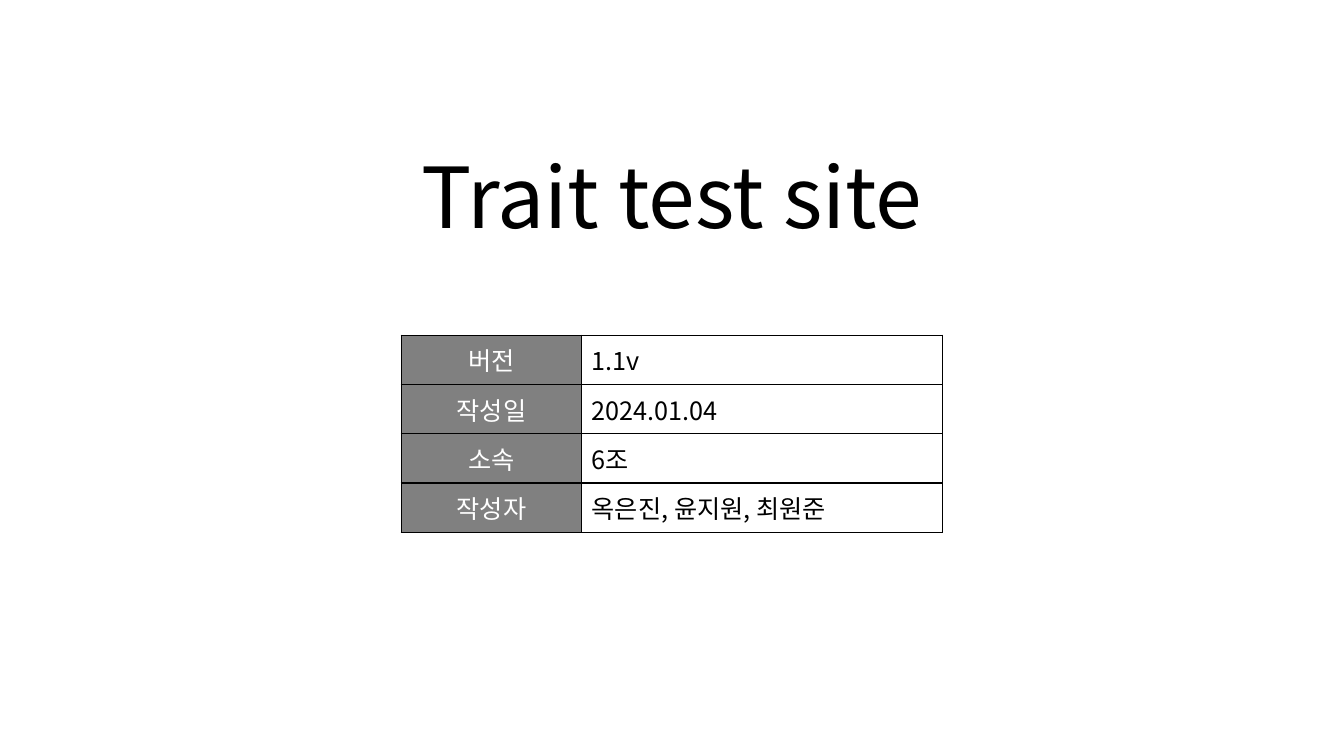
"""Build the cover slide of a test site project with its document details."""
from dataclasses import dataclass

from lxml.etree import SubElement
from pptx import Presentation
from pptx.dml.color import RGBColor
from pptx.enum.text import MSO_ANCHOR, PP_ALIGN
from pptx.oxml.ns import qn
from pptx.slide import Slide
from pptx.table import _Cell
from pptx.text.text import _Paragraph
from pptx.util import Cm, Pt

BLACK = RGBColor(0x00, 0x00, 0x00)
WHITE = RGBColor(0xFF, 0xFF, 0xFF)
GRAY = RGBColor(0x80, 0x80, 0x80)
FONT = "Noto Sans CJK KR"
LABEL_WIDTH = Cm(4.55)
VALUE_WIDTH = Cm(9.09)
ROW_HEIGHT = Cm(1.24)


@dataclass(frozen=True)
class Detail:
    """One labelled row of the document details."""

    label: str
    value: str


DETAILS = (
    Detail("버전", "1.1v"),
    Detail("작성일", "2024.01.04"),
    Detail("소속", "6조"),
    Detail("작성자", "옥은진, 윤지원, 최원준"),
)


def add_span(para: _Paragraph, text: str, size: int, color: RGBColor) -> None:
    """Add a run in the slide's font for Latin and Korean letters."""
    span = para.add_run()
    span.text = text
    span.font.size = Pt(size)
    span.font.color.rgb = color
    span.font.name = FONT
    SubElement(span.font._element, qn("a:ea"), typeface=FONT)


def add_borders(cell: _Cell) -> None:
    """Draw a thin black line on all four sides of a cell."""
    properties = cell._tc.get_or_add_tcPr()
    for side in ("a:lnL", "a:lnR", "a:lnT", "a:lnB"):
        line = SubElement(properties, qn(side), w=str(Pt(1)))
        fill = SubElement(line, qn("a:solidFill"))
        SubElement(fill, qn("a:srgbClr"), val=str(BLACK))


def fill_cell(cell: _Cell, text: str, is_label: bool) -> None:
    """Style a label or value cell and write its text."""
    add_borders(cell)
    cell.fill.solid()
    cell.fill.fore_color.rgb = GRAY if is_label else WHITE
    cell.vertical_anchor = MSO_ANCHOR.MIDDLE
    para = cell.text_frame.paragraphs[0]
    para.alignment = PP_ALIGN.CENTER if is_label else PP_ALIGN.LEFT
    add_span(para, text, 18, WHITE if is_label else BLACK)


def add_title(page: Slide, text: str) -> None:
    """Add the large centred title."""
    box = page.shapes.add_textbox(Cm(4.23), Cm(3.12), Cm(25.4), Cm(3.23))
    frame = box.text_frame
    frame.word_wrap = True
    frame.vertical_anchor = MSO_ANCHOR.BOTTOM
    para = frame.paragraphs[0]
    para.alignment = PP_ALIGN.CENTER
    para.line_spacing = 0.9
    add_span(para, text, 60, BLACK)


def add_details(page: Slide, details: tuple[Detail, ...]) -> None:
    """Add the table of labels and values."""
    table = page.shapes.add_table(
        len(details), 2, Cm(10.11), Cm(8.45),
        LABEL_WIDTH + VALUE_WIDTH, ROW_HEIGHT * len(details),
    ).table
    table.first_row = False
    table.horz_banding = False
    table.columns[0].width = LABEL_WIDTH
    table.columns[1].width = VALUE_WIDTH
    for index, detail in enumerate(details):
        table.rows[index].height = ROW_HEIGHT
        fill_cell(table.cell(index, 0), detail.label, True)
        fill_cell(table.cell(index, 1), detail.value, False)


def main() -> None:
    """Create and save the deck."""
    deck = Presentation()
    deck.slide_width = Cm(33.87)
    deck.slide_height = Cm(19.05)
    page = deck.slides.add_slide(deck.slide_layouts[6])
    add_title(page, "Trait test site")
    add_details(page, DETAILS)
    deck.save("out.pptx")


if __name__ == "__main__":
    main()
